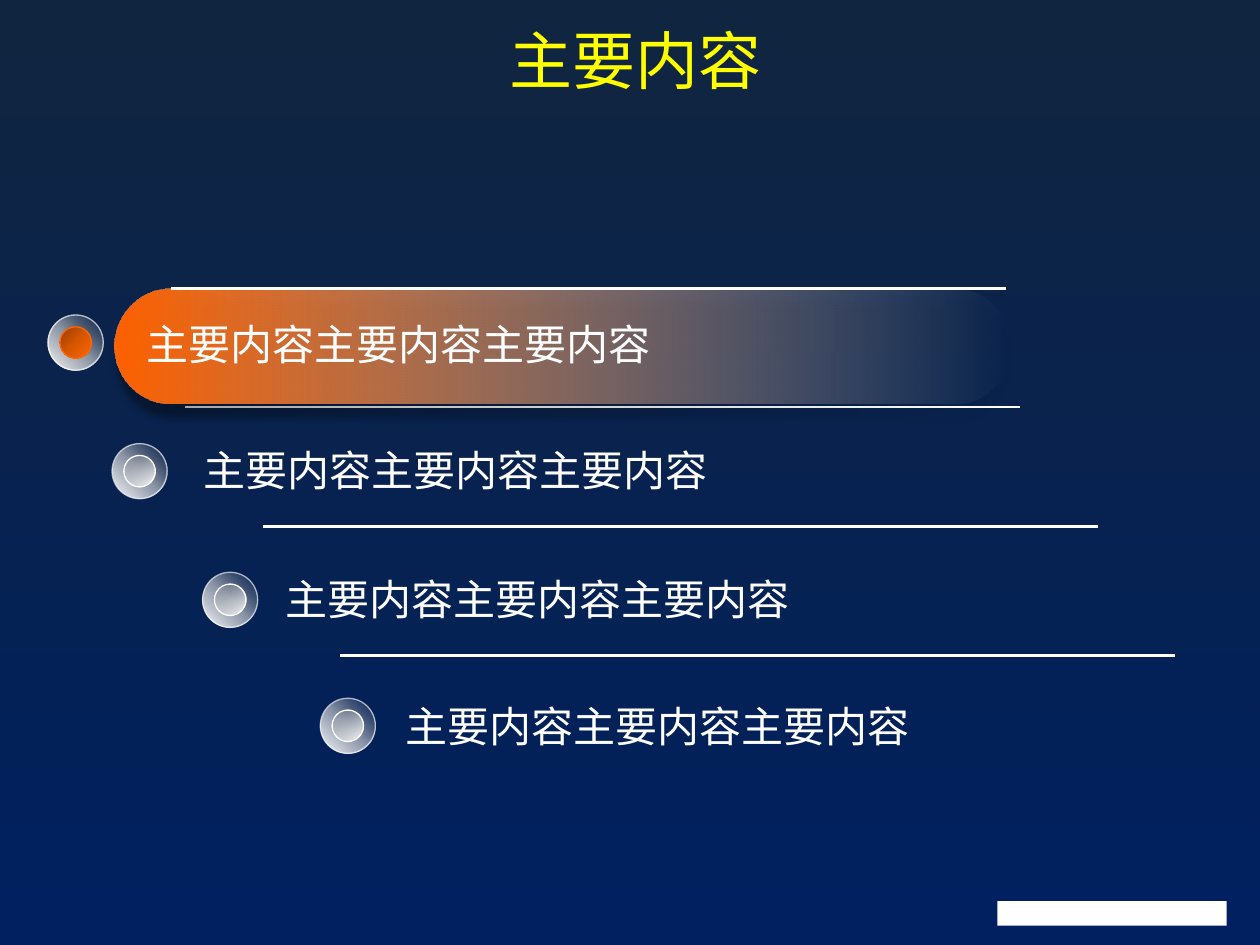
import pptx
import pptx.util
import pptx.dml.color
import pptx.enum.shapes
import pptx.enum.text
import pptx.oxml.ns
from lxml import etree

Pt = pptx.util.Pt
qn = pptx.oxml.ns.qn
SHAPES = pptx.enum.shapes.MSO_SHAPE

COLORS = {
    "night": "10253F", "navy": "002060", "white": "FFFFFF", "yellow": "FFFF00",
    "gray": "979797", "silver": "D7D7D7", "black": "000000",
    "rust": "973C00", "amber": "D75600", "orange": "FF6600", "bar": "FF6200",
}
FONT = "Noto Sans CJK SC"

# Gradient stops: position, colour, opacity in percent
BACKDROP = [(0, "night", 100), (100, "navy", 100)]
RING = [(0, "gray", 0), (50, "silver", 62), (100, "white", 100)]
CORE = [(0, "gray", 0), (50, "silver", 50), (100, "white", 100)]
ACTIVE_CORE = [(0, "rust", 100), (50, "amber", 100), (100, "orange", 100)]
BAR = [(0, "bar", 100), (100, "white", 0)]


class SlideBuilder:
    def __init__(self, presentation):
        self.slide = presentation.slides.add_slide(presentation.slide_layouts[5])
        self.shapes = self.slide.shapes

    def rgb(self, color):
        return pptx.dml.color.RGBColor.from_string(COLORS[color])

    def add_color(self, parent, color, opacity):
        element = etree.SubElement(parent, qn("a:srgbClr"), val=COLORS[color])
        if opacity < 100:
            etree.SubElement(element, qn("a:alpha"), val=str(opacity * 1000))

    def gradient(self, fill, owner, stops, angle):
        """Fill with colour stops; the angle runs clockwise."""
        fill.gradient()
        fill.gradient_angle = 360 - angle
        stop_list = next(owner.iter(qn("a:gsLst")))
        for stop in list(stop_list):
            stop_list.remove(stop)
        for position, color, opacity in stops:
            stop = etree.SubElement(stop_list, qn("a:gs"), pos=str(position * 1000))
            self.add_color(stop, color, opacity)

    def background(self, stops):
        self.gradient(self.slide.background.fill, self.slide.element, stops, 90)

    def format_text(self, frame, text, size, color):
        frame.text = text
        paragraph = frame.paragraphs[0]
        font = paragraph.font
        font.size, font.name = Pt(size), FONT
        font.color.rgb = self.rgb(color)
        properties = paragraph._p.get_or_add_pPr().find(qn("a:defRPr"))
        etree.SubElement(properties, qn("a:ea"), typeface=FONT)
        return paragraph

    def title(self, text, left, top, width, height):
        title = self.shapes.title
        title.left, title.top = Pt(left), Pt(top)
        title.width, title.height = Pt(width), Pt(height)
        title.text_frame.vertical_anchor = pptx.enum.text.MSO_ANCHOR.MIDDLE
        paragraph = self.format_text(title.text_frame, text, 36, "yellow")
        paragraph.alignment = pptx.enum.text.PP_ALIGN.CENTER

    def text(self, text, left, top, width, wrap):
        box = self.shapes.add_textbox(Pt(left), Pt(top), Pt(width), Pt(36))
        box.text_frame.word_wrap = wrap
        box.text_frame.auto_size = pptx.enum.text.MSO_AUTO_SIZE.SHAPE_TO_FIT_TEXT
        self.format_text(box.text_frame, text, 24, "white")

    def shape(self, kind, left, top, width, height):
        shape = self.shapes.add_shape(kind, Pt(left), Pt(top), Pt(width), Pt(height))
        shape.shadow.inherit = False
        shape.line.fill.background()
        return shape

    def circle(self, left, top, size, stops, angle, line, opacity=100):
        circle = self.shape(SHAPES.OVAL, left, top, size, size)
        self.gradient(circle.fill, circle.element, stops, angle)
        circle.line.color.rgb = self.rgb(line)
        circle.line.width = Pt(0.75)
        if opacity < 100:
            color = circle.element.spPr.find(qn("a:ln")).find(".//" + qn("a:srgbClr"))
            etree.SubElement(color, qn("a:alpha"), val=str(opacity * 1000))

    def bullet(self, left, top, active):
        self.circle(left, top, 31.5, RING, 135, "white", opacity=66)
        self.circle(left + 6.75, top + 6.75, 18, ACTIVE_CORE if active else CORE,
                    45, "orange" if active else "white")

    def rule(self, left, top, length=477):
        line = self.shapes.add_connector(
            pptx.enum.shapes.MSO_CONNECTOR.STRAIGHT,
            Pt(left), Pt(top), Pt(left + length), Pt(top))
        line.line.color.rgb = self.rgb("white")
        line.line.width = Pt(1.5)
        etree.SubElement(line.element.spPr, qn("a:effectLst"))

    def highlight(self, left, top, width, height):
        bar = self.shape(SHAPES.ROUNDED_RECTANGLE, left, top, width, height)
        bar.adjustments[0] = 0.5
        self.gradient(bar.fill, bar.element, BAR, 0)
        effects = bar.element.spPr.find(qn("a:effectLst"))
        shadow = etree.SubElement(
            effects, qn("a:outerShdw"), blurRad=str(Pt(4)), dist=str(Pt(8)),
            dir=str(80 * 60000), algn="ctr", rotWithShape="0")
        self.add_color(shadow, "black", 37)

    def mark(self, left, top, width, height):
        mark = self.shape(SHAPES.RECTANGLE, left, top, width, height)
        mark.fill.solid()
        mark.fill.fore_color.rgb = self.rgb("white")


def main():
    presentation = pptx.Presentation()
    presentation.slide_width, presentation.slide_height = Pt(720), Pt(540)
    builder = SlideBuilder(presentation)

    # Backdrop, corner mark and title
    builder.background(BACKDROP)
    builder.mark(570, 515, 131, 14)
    builder.title("主要内容", 57, 6.5, 612, 54.5)

    # Bullets, the first one active
    bullets = [(27.5, 180), (64, 253.5), (115.75, 327), (183, 399)]
    for index, (left, top) in enumerate(bullets):
        builder.bullet(left, top, active=index == 0)

    # Rules below the items, then the highlight with its top rule
    for left, top in [(106, 232.5), (150.5, 301), (194.5, 374.5)]:
        builder.rule(left, top)
    builder.highlight(65.5, 165, 512, 65.5)
    builder.rule(98, 164.75)

    # Agenda items
    items = [(76.5, 178.5, 443, True), (109.5, 250.75, 420.5, True),
             (156, 324, 305, False), (224.5, 396.5, 305, False)]
    for left, top, width, wrap in items:
        builder.text("主要内容" * 3, left, top, width, wrap)

    presentation.save("out.pptx")


if __name__ == "__main__":
    main()
